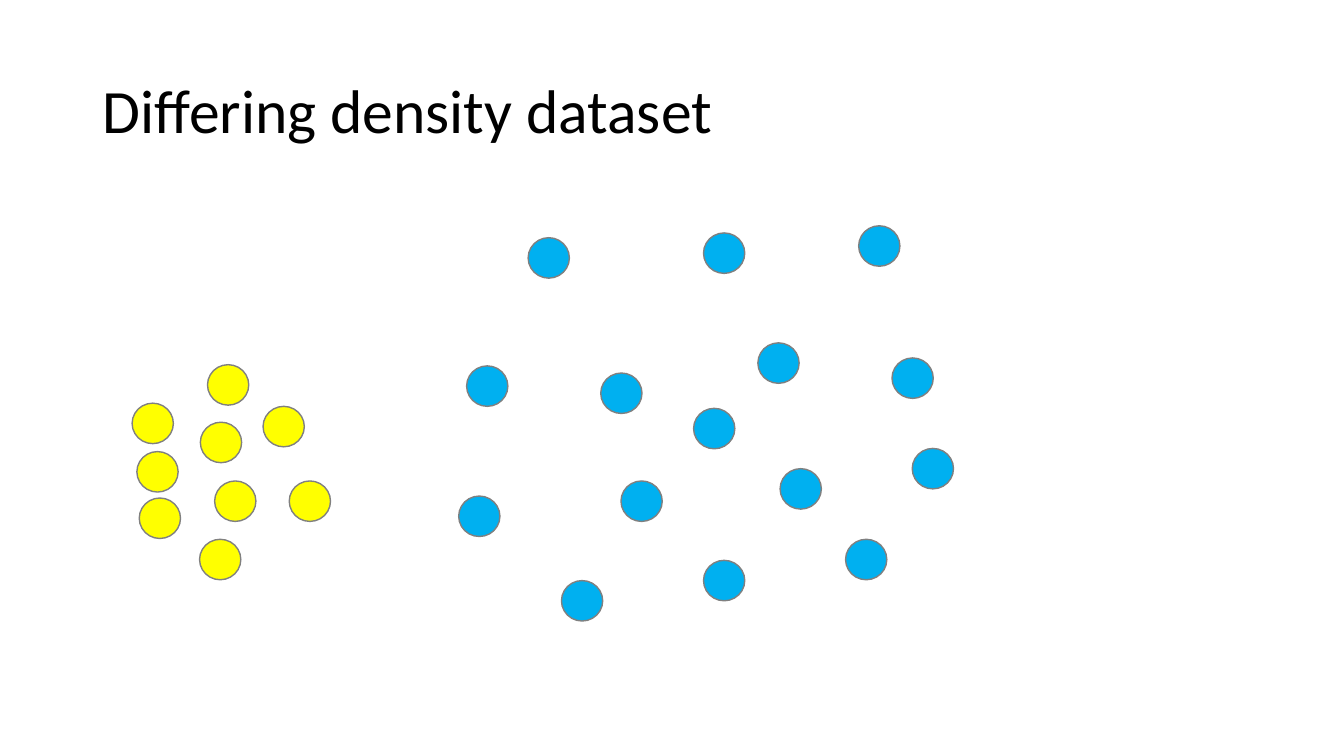
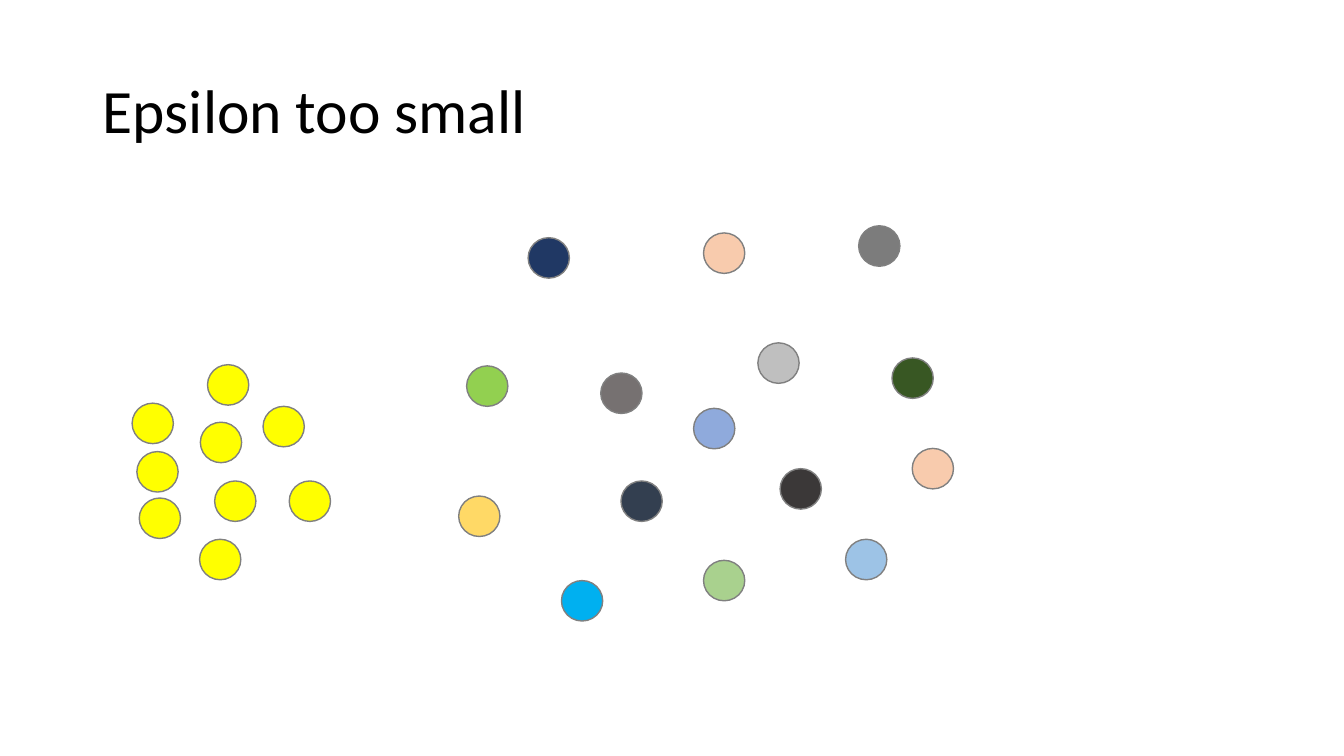
from dataclasses import dataclass
from pptx import Presentation
from pptx.dml.color import RGBColor as RGB
from pptx.enum.shapes import MSO_SHAPE as Shape
from pptx.enum.text import MSO_ANCHOR as Anchor
from pptx.util import Cm, Pt


@dataclass(frozen=True)
class Theme:
    font: str = "Calibri"
    title: int = 44
    ink: str = "000000"
    back: str = "FFFFFF"
    edge: str = "808080"
    dense: str = "FFFF00"
    sparse: str = "00B0F0"


THEME = Theme()
SIZE = (33.87, 19.05)
HEAD = (2.34, 1.02, 29.21, 3.68)
DOT = (1.04, 1.02)

DENSE = [
    (5.23, 9.19), (3.33, 10.16), (5.03, 13.59),
    (3.51, 12.55), (5.41, 12.12), (6.63, 10.24),
    (3.45, 11.38), (5.05, 10.64), (7.29, 12.12),
]
SPARSE = [
    ((15.65, 12.12), "333F50"),
    ((15.14, 9.4), "767171"),
    ((11.76, 9.22), "92D050"),
    ((13.31, 5.99), "203864"),
    ((14.15, 14.63), "00B0F0"),
    ((17.73, 14.12), "A9D18E"),
    ((19.1, 8.64), "BFBFBF"),
    ((21.31, 13.59), "9DC3E6"),
    ((19.66, 11.81), "3B3838"),
    ((17.73, 5.87), "F8CBAD"),
    ((22.99, 11.3), "F8CBAD"),
    ((22.48, 9.02), "385723"),
    ((21.64, 5.69), "7C7C7C"),
    ((11.56, 12.5), "FFD966"),
    ((17.48, 10.29), "8FAADC"),
]
SLIDES = [
    ("Differing density dataset", [THEME.sparse] * len(SPARSE)),
    ("Epsilon too small", [tint for _, tint in SPARSE]),
]


def add_title(slide, text):
    frame = slide.shapes.add_textbox(*map(Cm, HEAD)).text_frame
    frame.word_wrap = True
    frame.vertical_anchor = Anchor.MIDDLE
    para = frame.paragraphs[0]
    para.line_spacing = 0.9
    run = para.add_run()
    run.text = text
    run.font.name = THEME.font
    run.font.size = Pt(THEME.title)
    run.font.color.rgb = RGB.from_string(THEME.ink)


def add_dot(slide, spot, tint):
    dot = slide.shapes.add_shape(Shape.OVAL, *map(Cm, spot + DOT))
    dot.shadow.inherit = False
    dot.fill.solid()
    dot.fill.fore_color.rgb = RGB.from_string(tint)
    dot.line.color.rgb = RGB.from_string(THEME.edge)
    dot.line.width = Pt(1)


def main():
    deck = Presentation()
    deck.slide_width, deck.slide_height = map(Cm, SIZE)
    fill = deck.slide_master.background.fill
    fill.solid()
    fill.fore_color.rgb = RGB.from_string(THEME.back)
    for title, tints in SLIDES:
        slide = deck.slides.add_slide(deck.slide_layouts[6])
        add_title(slide, title)
        for spot in DENSE:
            add_dot(slide, spot, THEME.dense)
        for (spot, _), tint in zip(SPARSE, tints):
            add_dot(slide, spot, tint)
    deck.save("out.pptx")


if __name__ == "__main__":
    main()
